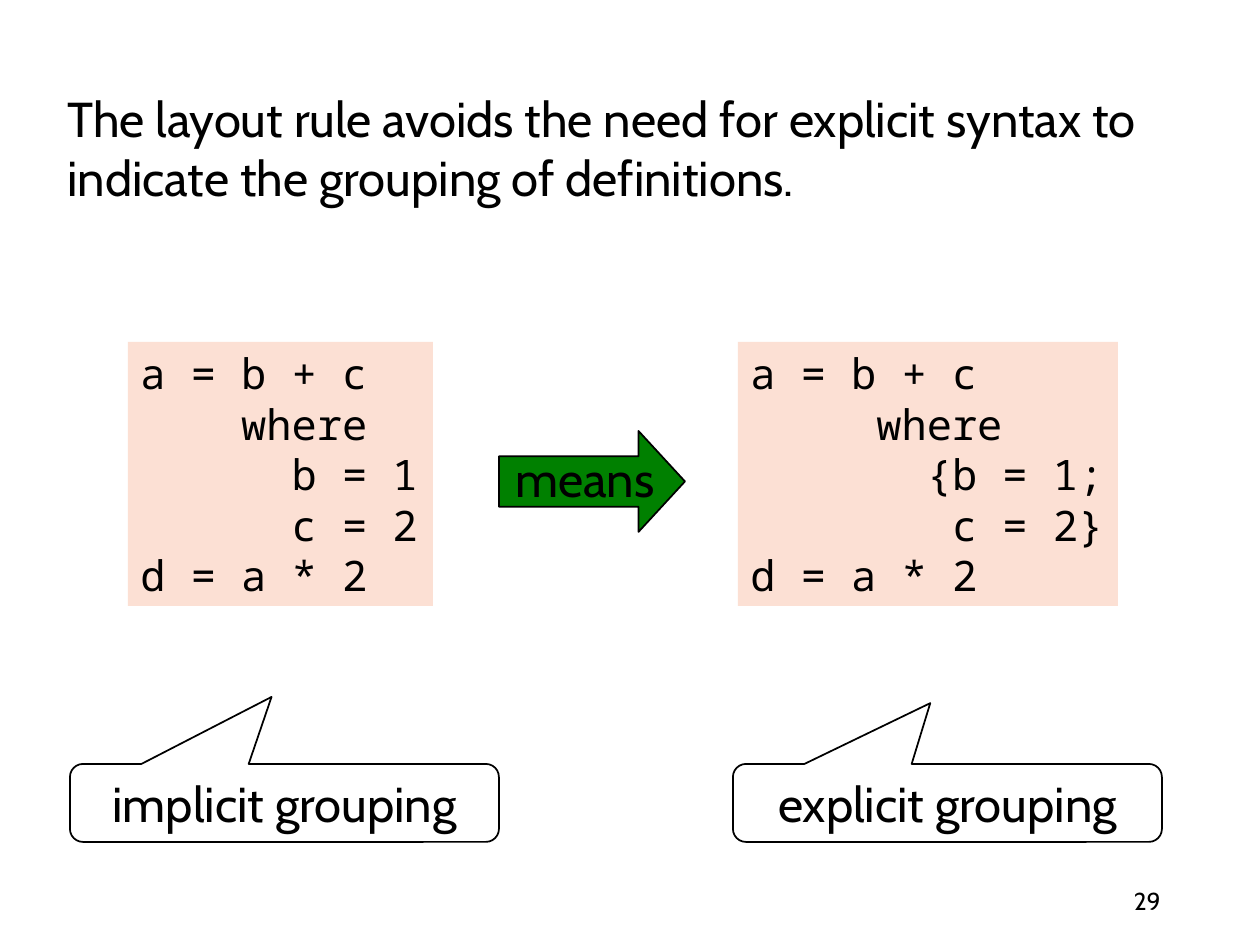
from pptx import Presentation
from pptx.dml.color import RGBColor
from pptx.enum.shapes import MSO_SHAPE
from pptx.enum.text import MSO_ANCHOR, PP_ALIGN
from pptx.util import Emu, Pt

RECT = MSO_SHAPE.RECTANGLE
ARROW = MSO_SHAPE.RIGHT_ARROW
CALLOUT = MSO_SHAPE.ROUNDED_RECTANGULAR_CALLOUT
LEFT, MID, RIGHT = PP_ALIGN.LEFT, PP_ALIGN.CENTER, PP_ALIGN.RIGHT

BLACK = RGBColor(0x00, 0x00, 0x00)
GREEN = RGBColor(0x00, 0x80, 0x00)
PEACH = RGBColor(0xFC, 0xE0, 0xD4)
SANS, MONO = "Cabin", "Noto Sans Mono"

# Boxes are left, top, width, height in px
TITLE = "The layout rule avoids the need for explicit syntax to indicate the grouping of definitions."
CODES = [
    ((128, 342, 305, 264),
     ["a = b + c", "    where", "      b = 1", "      c = 2", "d = a * 2"]),
    ((738, 342, 380, 264),
     ["a = b + c", "     where", "       {b = 1;", "        c = 2}", "d = a * 2"]),
]
# Box, text, tip offset from the centre as a share of the size
NOTES = [
    ((70, 764, 429, 78), "implicit grouping", (-0.03, -1.36)),
    ((733, 764, 429, 78), "explicit grouping", (-0.04, -1.28)),
]


def px(n):
    return Emu(round(n * 914400 / 126))


def write(shape, lines, size, font=SANS, align=LEFT, wrap=True):
    frame = shape.text_frame
    frame.word_wrap = wrap
    frame.vertical_anchor = MSO_ANCHOR.MIDDLE
    for i, line in enumerate(lines):
        para = frame.add_paragraph() if i else frame.paragraphs[0]
        para.alignment = align
        run = para.add_run()
        run.text = line
        run.font.name = font
        run.font.size = Pt(size)
        run.font.color.rgb = BLACK


def add_text(slide, box, *args, **kw):
    write(slide.shapes.add_textbox(*map(px, box)), *args, **kw)


def add_shape(slide, kind, box, fill=None, edge=None):
    shape = slide.shapes.add_shape(kind, *map(px, box))
    shape.shadow.inherit = False
    if fill is None:
        shape.fill.background()
    else:
        shape.fill.solid()
        shape.fill.fore_color.rgb = fill
    if edge is None:
        shape.line.fill.background()
    else:
        shape.line.color.rgb = edge
        shape.line.width = Pt(1)
    return shape


def main():
    prs = Presentation()
    prs.slide_width, prs.slide_height = px(1260), px(945)
    slide = prs.slides.add_slide(prs.slide_layouts[6])

    add_text(slide, (890, 876, 283, 50), ["29"], 14, align=RIGHT)
    add_text(slide, (55, 82, 1121, 130), [TITLE], 28)

    arrow = add_shape(slide, ARROW, (499, 431, 186, 101), GREEN, BLACK)
    arrow.adjustments[1] = 0.46
    add_text(slide, (501, 442, 168, 72), ["means"], 28, align=MID, wrap=False)

    for box, lines in CODES:
        write(add_shape(slide, RECT, box, PEACH), lines, 24, MONO, wrap=False)

    for box, text, tip in NOTES:
        note = add_shape(slide, CALLOUT, box, edge=BLACK)
        note.adjustments[0], note.adjustments[1] = tip
        write(note, [text], 28, align=MID)

    prs.save("out.pptx")


if __name__ == "__main__":
    main()
